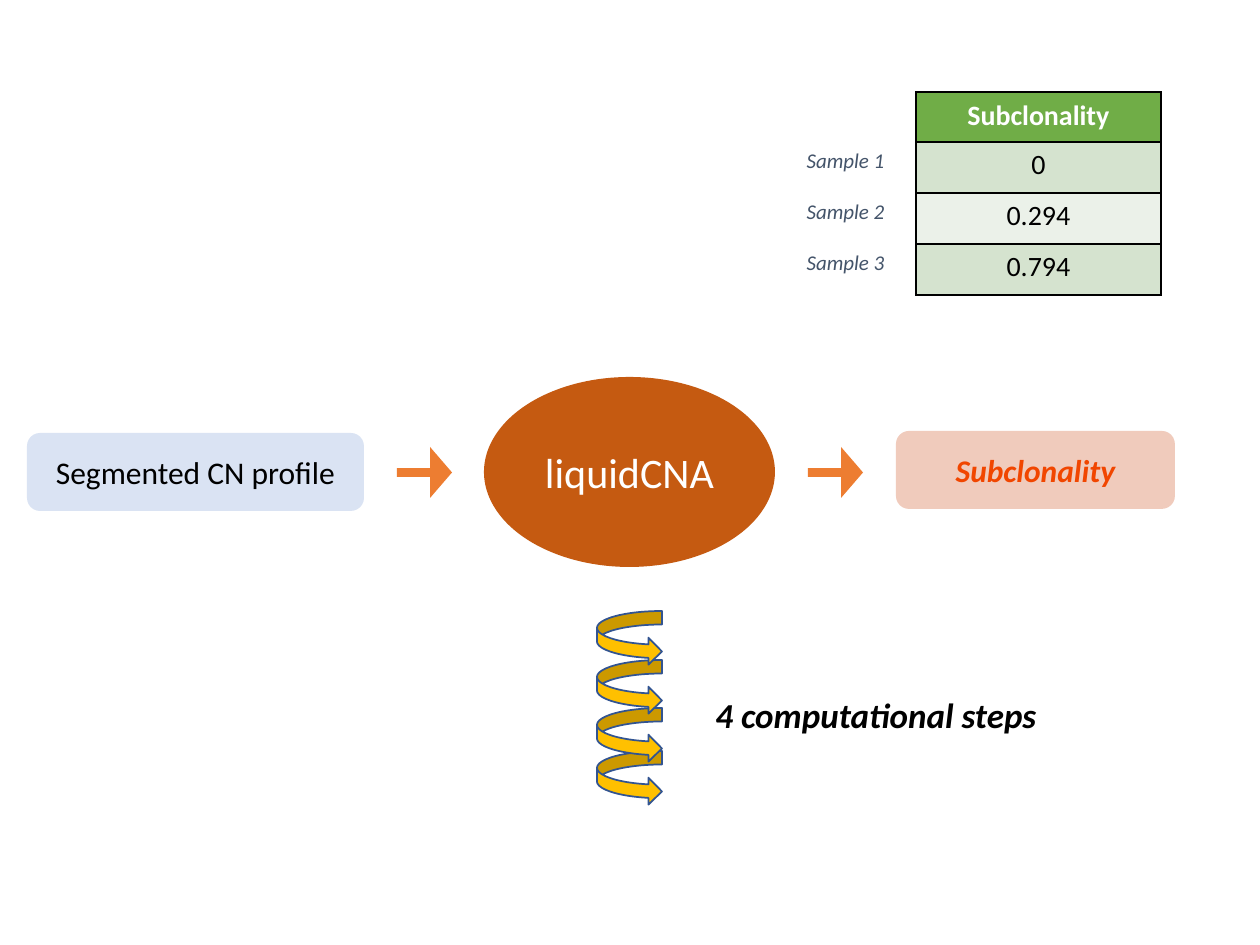
from lxml.etree import SubElement
from pptx import Presentation
from pptx.dml.color import RGBColor
from pptx.enum.shapes import MSO_SHAPE
from pptx.enum.text import MSO_ANCHOR, PP_ALIGN
from pptx.oxml.ns import qn
from pptx.util import Pt

SCALE = 914400 / 126
BLACK = RGBColor(0x00, 0x00, 0x00)
WHITE = RGBColor(0xFF, 0xFF, 0xFF)
RUST = RGBColor(0xC5, 0x5A, 0x11)
ORANGE = RGBColor(0xED, 0x7D, 0x31)
PALE = RGBColor(0xDA, 0xE3, 0xF3)
PINK = RGBColor(0xF0, 0xCB, 0xBC)
RED = RGBColor(0xF1, 0x46, 0x00)
GOLD = RGBColor(0xFF, 0xC0, 0x00)
NAVY = RGBColor(0x32, 0x54, 0x91)
SLATE = RGBColor(0x44, 0x54, 0x6A)
GREEN = RGBColor(0x70, 0xAD, 0x47)
SAGE = RGBColor(0xD5, 0xE3, 0xCF)
MINT = RGBColor(0xEB, 0xF1, 0xE9)


def px(n):
    return round(n * SCALE)


class Canvas:
    def __init__(self, slide, face="Calibri"):
        self.slide = slide
        self.face = face

    def put(self, frame, text, size, color=BLACK, bold=False, italic=False,
            align=PP_ALIGN.CENTER):
        """Set the styled text of a frame."""
        para = frame.paragraphs[0]
        para.text = text
        para.alignment = align
        font = para.font
        font.name, font.size = self.face, Pt(size)
        font.bold, font.italic = bold, italic
        font.color.rgb = color

    def shape(self, kind, box, fill, line=None, adjust=()):
        item = self.slide.shapes.add_shape(kind, *map(px, box))
        item.shadow.inherit = False
        item.fill.solid()
        item.fill.fore_color.rgb = fill
        if line is None:
            item.line.fill.background()
        else:
            item.line.color.rgb = line
            item.line.width = Pt(1)
        for i, value in enumerate(adjust):
            item.adjustments[i] = value
        return item

    def label(self, kind, box, fill, text, size, **style):
        frame = self.shape(kind, box, fill).text_frame
        frame.word_wrap = True
        frame.vertical_anchor = MSO_ANCHOR.MIDDLE
        self.put(frame, text, size, **style)

    def arrow(self, left, top):
        self.shape(MSO_SHAPE.RIGHT_ARROW, (left, top, 55, 51), ORANGE,
                   adjust=(0.17, 0.43))

    def note(self, box, text, size, **style):
        frame = self.slide.shapes.add_textbox(*map(px, box)).text_frame
        frame.word_wrap = True
        self.put(frame, text, size, align=PP_ALIGN.LEFT, **style)

    def border(self, cell, colors):
        """Draw 1 pt cell edges, given in the order left, right, top, bottom."""
        props = cell._tc.get_or_add_tcPr()
        for side, color in zip("LRTB", colors):
            edge = SubElement(props, qn(f"a:ln{side}"), w=str(Pt(1)))
            fill = SubElement(edge, qn("a:solidFill"))
            SubElement(fill, qn("a:srgbClr"), val=str(color))

    def table(self, left, top, cols, heights, rows):
        """Place rows of (name, value, fill); the first row is the header."""
        box = (left, top, sum(cols), sum(heights))
        grid = self.slide.shapes.add_table(
            len(rows), len(cols), *map(px, box)).table
        grid.horz_banding = grid.first_row = False
        for col, width in zip(grid.columns, cols):
            col.width = px(width)
        for r, (name, value, fill) in enumerate(rows):
            grid.rows[r].height = px(heights[r])
            head, cell = grid.cell(r, 0), grid.cell(r, 1)
            self.border(head, (WHITE, BLACK, WHITE, WHITE))
            head.fill.background()
            self.put(head.text_frame, name, 12, SLATE, italic=True)
            self.border(cell, [BLACK] * 4)
            cell.fill.solid()
            cell.fill.fore_color.rgb = fill
            self.put(cell.text_frame, value, 16,
                     WHITE if r == 0 else BLACK, bold=r == 0)


def main():
    deck = Presentation()
    deck.slide_width, deck.slide_height = px(1260), px(945)
    page = Canvas(deck.slides.add_slide(deck.slide_layouts[6]))

    page.label(MSO_SHAPE.OVAL, (484, 377, 291, 190), RUST,
               "liquidCNA", 24, color=WHITE)
    page.label(MSO_SHAPE.ROUNDED_RECTANGLE, (27, 433, 337, 78), PALE,
               "Segmented CN profile", 18)
    page.label(MSO_SHAPE.ROUNDED_RECTANGLE, (896, 431, 279, 78), PINK,
               "Subclonality", 18, color=RED, bold=True, italic=True)
    for left in (397, 808):
        page.arrow(left, 447)

    for top in (751, 708, 660, 611):
        page.shape(MSO_SHAPE.CURVED_RIGHT_ARROW, (597, top, 65, 54),
                   GOLD, NAVY)
    page.note((703, 687, 386, 97), "4 computational steps", 20,
              bold=True, italic=True)

    page.table(775, 92, (141, 245), (50, 51, 51, 51), [
        ("", "Subclonality", GREEN),
        ("Sample 1", "0", SAGE),
        ("Sample 2", "0.294", MINT),
        ("Sample 3", "0.794", SAGE),
    ])
    deck.save("out.pptx")


if __name__ == "__main__":
    main()
